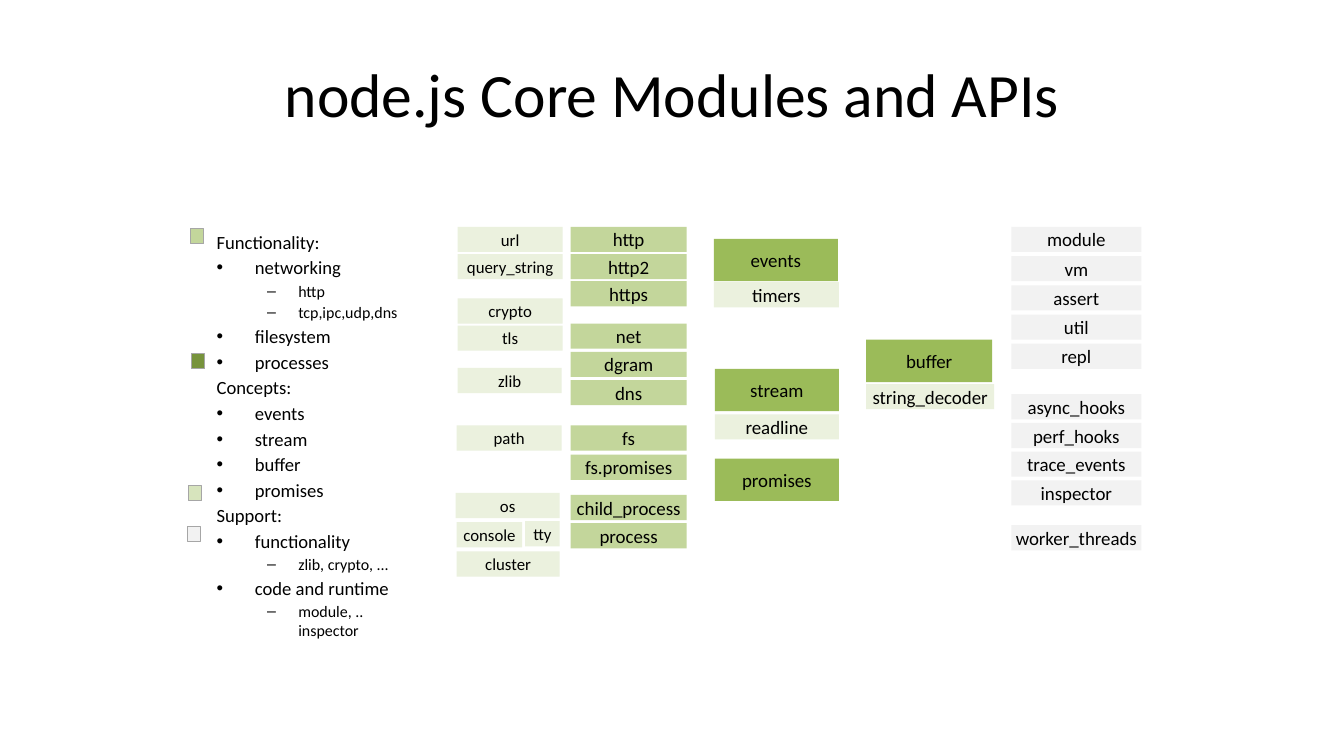
from pptx import Presentation
from pptx.dml.color import RGBColor
from pptx.enum.shapes import MSO_SHAPE
from pptx.enum.text import MSO_ANCHOR, PP_ALIGN
from pptx.oxml.ns import qn
from pptx.util import Inches, Pt
from lxml.etree import SubElement

# Content
FONT = "Calibri"
TITLE = "node.js Core Modules and APIs"

# (level, text): 0 heading, 1 bullet, 2 dash
OUTLINE = [
    (0, "Functionality:"), (1, "networking"), (2, "http"),
    (2, "tcp,ipc,udp,dns"), (1, "filesystem"), (1, "processes"),
    (0, "Concepts:"), (1, "events"), (1, "stream"), (1, "buffer"),
    (1, "promises"),
    (0, "Support:"), (1, "functionality"), (2, "zlib, crypto, ..."),
    (1, "code and runtime"), (2, "module, .. inspector"),
]
# level: (bullet, text indent, hanging indent, size, space before)
LEVELS = {
    0: (None, 0, 0, 13.3, 2.3),
    1: ("•", 0.38, 0.38, 13.3, 2.3),
    2: ("–", 0.81, 0.31, 11.4, 1.8),
}

# kind: (fill, height, text size)
KINDS = {
    "function": ("C3D69B", 0.25, 13.5),
    "concept": ("9BBB59", 0.42, 13.5),
    "helper": ("EBF1DE", 0.25, 12),
    "companion": ("EBF1DE", 0.25, 13.5),
    "runtime": ("F2F2F2", 0.25, 13.5),
}
# (kind, left, top, width, row pitch, module names)
STACKS = [
    ("helper", 4.54, 2.25, 1.04, 0.27, ["url", "query_string"]),
    ("helper", 4.54, 2.96, 1.04, 0.27, ["crypto", "tls"]),
    ("helper", 4.54, 3.65, 1.03, 0, ["zlib"]),
    ("helper", 4.53, 4.22, 1.04, 0, ["path"]),
    ("helper", 4.52, 4.89, 1.03, 0, ["os"]),
    ("helper", 4.53, 5.18, 0.65, 0, ["console"]),
    ("helper", 5.21, 5.17, 0.34, 0, ["tty"]),
    ("helper", 4.53, 5.47, 1.02, 0, ["cluster"]),
    ("function", 5.66, 2.25, 1.15, 0.27, ["http", "http2", "https"]),
    ("function", 5.66, 3.21, 1.15, 0.28, ["net", "dgram", "dns"]),
    ("function", 5.66, 4.22, 1.15, 0.29, ["fs", "fs.promises"]),
    ("function", 5.66, 4.91, 1.15, 0.28, ["child_process", "process"]),
    ("concept", 7.08, 2.37, 1.23, 0, ["events"]),
    ("companion", 7.08, 2.8, 1.24, 0, ["timers"]),
    ("concept", 7.09, 3.66, 1.23, 0.89, ["stream", "promises"]),
    ("companion", 7.09, 4.11, 1.23, 0, ["readline"]),
    ("concept", 8.59, 3.37, 1.25, 0, ["buffer"]),
    ("companion", 8.59, 3.81, 1.27, 0, ["string_decoder"]),
    ("runtime", 10.03, 2.25, 1.29, 0.29,
     ["module", "vm", "assert", "util", "repl"]),
    ("runtime", 10.03, 3.91, 1.29, 0.285,
     ["async_hooks", "perf_hooks", "trace_events", "inspector"]),
    ("runtime", 10.03, 5.21, 1.29, 0, ["worker_threads"]),
]
# Legend swatches: (left, top, fill)
SWATCHES = [
    (1.89, 2.27, "C3D69B"), (1.9, 3.51, "77933C"),
    (1.87, 4.82, "D7E4BD"), (1.86, 5.22, "F2F2F2"),
]


def color(value):
    return RGBColor.from_string(value)


def set_font(para, size):
    para.font.name = FONT
    para.font.size = Pt(size)
    para.font.color.rgb = color("000000")


def add_text_frame(page, left, top, width, height):
    box = page.shapes.add_textbox(
        Inches(left), Inches(top), Inches(width), Inches(height))
    box.text_frame.word_wrap = True
    return box.text_frame


def add_rectangle(page, left, top, width, height, fill, line=None):
    shape = page.shapes.add_shape(
        MSO_SHAPE.RECTANGLE,
        Inches(left), Inches(top), Inches(width), Inches(height))
    shape.shadow.inherit = False
    shape.fill.solid()
    shape.fill.fore_color.rgb = color(fill)
    if line:
        shape.line.color.rgb = color(line)
        shape.line.width = Pt(0.75)
    else:
        shape.line.fill.background()
    return shape


def add_title(page):
    frame = add_text_frame(page, 0.67, 0.3, 12, 1.25)
    frame.vertical_anchor = MSO_ANCHOR.MIDDLE
    para = frame.paragraphs[0]
    para.text = TITLE
    para.alignment = PP_ALIGN.CENTER
    set_font(para, 44)


def add_outline(page):
    frame = add_text_frame(page, 2.05, 2.24, 2.19, 3.71)
    for index, (level, text) in enumerate(OUTLINE):
        bullet, indent, hanging, size, space = LEVELS[level]
        para = frame.add_paragraph() if index else frame.paragraphs[0]
        para.text = text
        if index:
            para.space_before = Pt(space)
        if bullet:
            para.level = level - 1
            properties = para._p.get_or_add_pPr()
            properties.set("marL", str(Inches(indent)))
            properties.set("indent", str(-Inches(hanging)))
            SubElement(properties, qn("a:buFont"), typeface="Arial")
            SubElement(properties, qn("a:buChar"), char=bullet)
        set_font(para, size)


def add_module(page, left, top, width, kind, name):
    fill, height, size = KINDS[kind]
    frame = add_rectangle(page, left, top, width, height, fill).text_frame
    frame.word_wrap = True
    frame.vertical_anchor = MSO_ANCHOR.MIDDLE
    frame.margin_left = frame.margin_right = Inches(0.03)
    frame.margin_top = frame.margin_bottom = Inches(0.04)
    para = frame.paragraphs[0]
    para.text = name
    para.alignment = PP_ALIGN.CENTER
    set_font(para, size)


def main():
    deck = Presentation()
    deck.slide_width, deck.slide_height = Inches(13.33), Inches(7.5)
    page = deck.slides.add_slide(deck.slide_layouts[6])
    add_title(page)
    add_outline(page)

    # Module stacks
    for kind, left, top, width, pitch, names in STACKS:
        for row, name in enumerate(names):
            add_module(page, left, top + row * pitch, width, kind, name)

    # Legend
    for left, top, fill in SWATCHES:
        add_rectangle(page, left, top, 0.13, 0.15, fill, "A6A6A6")

    deck.save("out.pptx")


if __name__ == "__main__":
    main()
